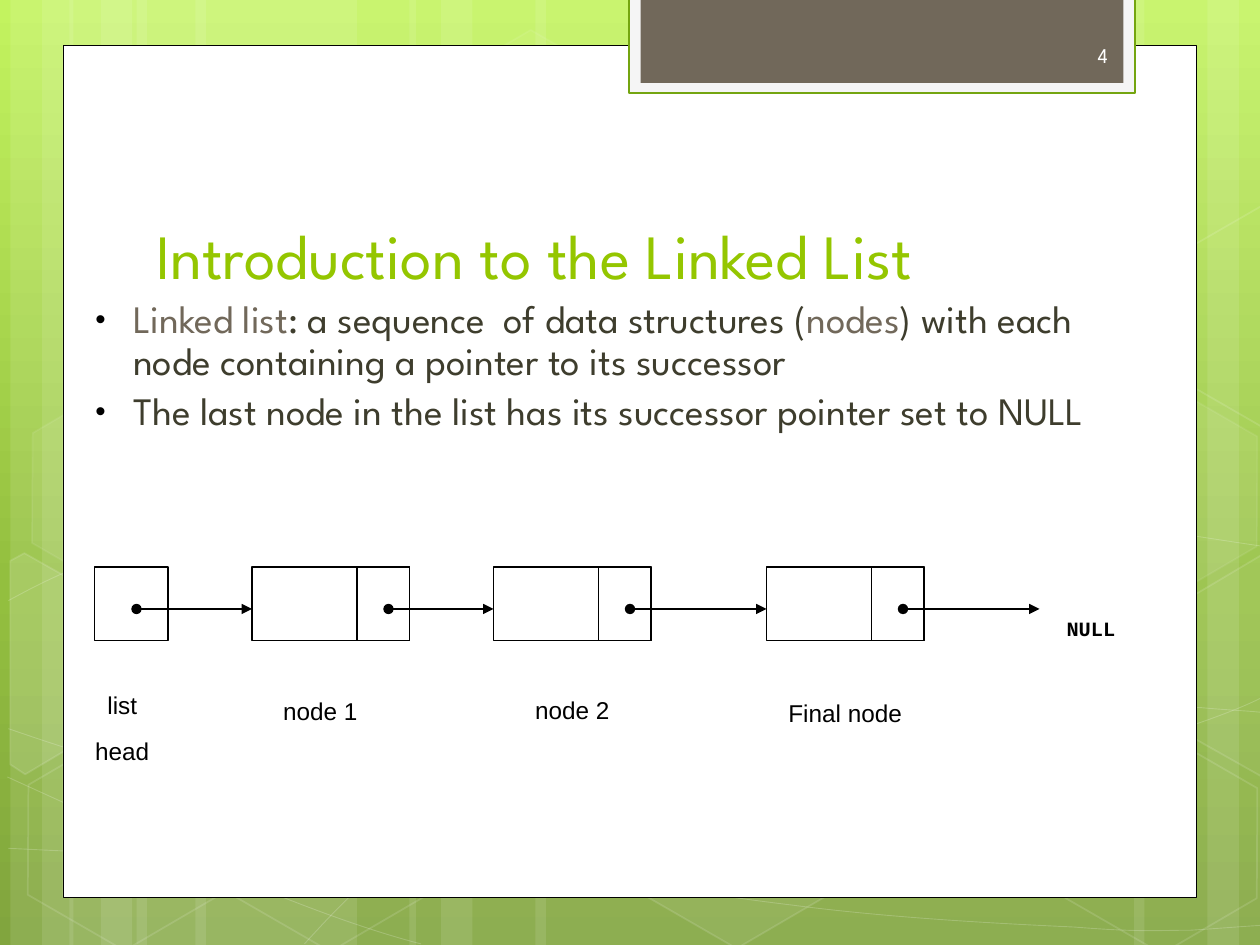
from math import cos, radians, sin

from lxml.etree import SubElement
from pptx import Presentation
from pptx.dml.color import RGBColor
from pptx.enum.shapes import MSO_CONNECTOR as Connector, MSO_SHAPE as Shape
from pptx.enum.text import MSO_ANCHOR as Anchor, MSO_AUTO_SIZE as AutoSize, PP_ALIGN as Align
from pptx.oxml.ns import qn
from pptx.util import Emu, Pt

PX = 7620  # 120 px to the inch
WIDTH, HEIGHT = 1200, 900

BLACK, WHITE = RGBColor(0, 0, 0), RGBColor(255, 255, 255)
LIME, GREEN = RGBColor(0x94, 0xC6, 0x00), RGBColor(0x74, 0xA5, 0x10)
TAUPE, OLIVE = RGBColor(0x71, 0x68, 0x5A), RGBColor(0x3E, 0x3D, 0x2D)
PALE, NUMBER_WHITE = RGBColor(0xF5, 0xF5, 0xF5), RGBColor(0xFE, 0xFE, 0xFE)
BACKDROP = [(0, "C3F35F"), (62, "93BF3F"), (100, "81A53E")]
DISPLAY, SANS, MONO = "League Spartan", "Arial", "Courier New"

TITLE = "Introduction to the Linked List"
BULLETS = [
    [("Linked list", TAUPE), (": a sequence  of data structures (", OLIVE), ("nodes", TAUPE),
     (") with each node containing a pointer to its successor", OLIVE)],
    [("The last node in the list has its successor pointer set to NULL", OLIVE)],
]
LABELS = [  # lines, box, font, size, bold, line spacing
    (["NULL"], (987, 550, 104, 60), MONO, 20, True, 1.2),
    (["list", "head"], (60, 630, 113, 89), SANS, 24, False, 0.8),
    (["node 1"], (231, 635, 148, 50), SANS, 24, False, 0.8),
    (["node 2"], (471, 634, 148, 50), SANS, 24, False, 0.8),
    (["Final node"], (698, 637, 214, 50), SANS, 24, False, 0.8),
]

HEAD_LEFT, NODE_LEFTS, NULL_LEFT = 90, [240, 470, 730], 990
NODE_TOP, NODE_WIDTH, NODE_HEIGHT, POINTER_WIDTH, LINK_Y = 540, 150, 70, 50, 580

TILT = 30
BANDS = [(130, 210), (10, 60), (40, 100), (186, 210), (66, 60), (96, 100),
         (880, 210), (1150, 60), (1080, 100), (510, 370), (390, 60), (420, 100)]
HEXAGONS = [  # left, top, fill opacity, line opacity
    (401, 43, 4, 8), (596, 707, 6, 12), (13, 709, 0, 12), (17, 374, 7, 8), (209, 710, 0, 12),
    (904, 544, 10, 12), (1001, 712, 0, 12), (1001, 377, 7, 8),
]
CUT_HEXAGONS = [  # centre, tilted corners, fill opacity
    ((43, 642), [(10, 534), (23, 526), (115, 578), (114, 684), (24, 737), (10, 728)], 10),
    ((1182, 624), [(1111, 582), (1201, 529), (1211, 535), (1211, 736), (1202, 740),
                   (1111, 688)], 4),
    ((1182, 289), [(1111, 248), (1201, 196), (1212, 202), (1211, 402), (1202, 407),
                   (1111, 354)], 0),
]
CURVES = [  # start, then two controls and an end for each Bezier piece
    [(8, 808), (73, 811), (138, 815), (228, 814), (318, 812), (430, 810), (550, 798),
     (670, 786), (840, 763), (950, 740), (1060, 718), (1172, 682), (1208, 661)],
    [(8, 572), (43, 553), (78, 535), (145, 517), (214, 499), (311, 473), (416, 464),
     (523, 456), (653, 455), (785, 464), (917, 474), (1136, 511), (1208, 521)],
    [(7, 740), (152, 806), (296, 872), (401, 899)],
    [(8, 694), (46, 707), (84, 720), (154, 739), (223, 757), (328, 787), (428, 808),
     (528, 828), (654, 850), (754, 862), (853, 875), (960, 880), (1024, 883),
     (1086, 888), (1103, 886), (1134, 886), (1165, 884), (1187, 882), (1208, 881)],
    [(290, 899), (312, 875), (334, 851), (362, 829), (391, 808), (432, 784), (466, 767),
     (499, 750), (520, 743), (564, 731), (607, 719), (688, 702), (730, 694),
     (773, 685), (779, 685), (816, 683), (853, 679), (912, 676), (953, 674),
     (995, 673), (1063, 674), (1063, 674), (1090, 674), (1117, 674), (1144, 674),
     (1165, 676), (1186, 677), (1196, 678), (1207, 679), (1204, 678), (1207, 679)],
]


def add(parent, tag, **attributes):
    return SubElement(parent, qn(tag), attributes)


def emu(lengths):
    return [Emu(length * PX) for length in lengths]


def set_opacity(parent, percent):
    color = parent.find(qn("a:solidFill")).find(qn("a:srgbClr"))
    add(color, "a:alpha", val=str(percent * 1000))


def paint(shape, fill=None, line=None, weight=1, fill_opacity=100, line_opacity=100):
    shape.shadow.inherit = False
    properties = shape._element.spPr
    if fill is None or fill_opacity == 0:
        shape.fill.background()
    else:
        shape.fill.solid()
        shape.fill.fore_color.rgb = fill
        if fill_opacity < 100:
            set_opacity(properties, fill_opacity)
    if line is None:
        shape.line.fill.background()
    else:
        shape.line.color.rgb = line
        shape.line.width = Pt(weight)
        if line_opacity < 100:
            set_opacity(properties.find(qn("a:ln")), line_opacity)


def add_box(slide, box, kind=Shape.RECTANGLE, **style):
    shape = slide.shapes.add_shape(kind, *emu(box))
    paint(shape, **style)
    return shape


def add_outline(slide, points, close=False, **style):
    builder = slide.shapes.build_freeform(*points[0], scale=PX)
    builder.add_line_segments(points[1:], close=close)
    outline = builder.convert_to_shape()
    paint(outline, line=WHITE, **style)
    return outline


def bend(outline):
    """Turn every three straight segments into one cubic Bezier piece."""
    segments = list(outline._element.iter(qn("a:lnTo")))
    for first in range(0, len(segments), 3):
        piece = segments[first:first + 3]
        curve = add(piece[0].getparent(), "a:cubicBezTo")
        for segment in piece:
            curve.append(segment[0])
            segment.getparent().remove(segment)


def untilt(point, center):
    x, y = point[0] - center[0], point[1] - center[1]
    c, s = cos(radians(TILT)), sin(radians(TILT))
    return round(center[0] + x * c + y * s, 2), round(center[1] - x * s + y * c, 2)


def add_text(slide, box, paragraphs, font, size, anchor=Anchor.TOP, wrap=True, align=Align.LEFT,
             bold=False, spacing=1.0, before=0, bullet=False, lowered=False):
    """Add a text box; each paragraph is a list of (wording, color) runs."""
    frame = slide.shapes.add_textbox(*emu(box)).text_frame
    frame.word_wrap = wrap
    frame.auto_size = AutoSize.NONE if wrap else AutoSize.SHAPE_TO_FIT_TEXT
    frame.vertical_anchor = anchor
    for index, runs in enumerate(paragraphs):
        paragraph = frame.paragraphs[0] if index == 0 else frame.add_paragraph()
        paragraph.alignment = align
        paragraph.line_spacing = spacing
        paragraph.space_before = Pt(before)
        if bullet:
            add_bullet(paragraph)
        paragraph.font.name, paragraph.font.size, paragraph.font.bold = font, Pt(size), bold
        for wording, color in runs:
            run = paragraph.add_run()
            run.text = wording
            run.font.color.rgb = color
            if lowered:
                run._r.get_or_add_rPr().set("baseline", "-25000")


def add_bullet(paragraph):
    properties = paragraph._p.get_or_add_pPr()
    properties.set("marL", str(45 * PX))
    properties.set("indent", str(-36 * PX))
    add(add(properties, "a:buClr"), "a:srgbClr", val=str(BLACK))
    add(properties, "a:buSzPct", val="76000")
    add(properties, "a:buFont", typeface=SANS)
    add(properties, "a:buChar", char="•")


def add_link(slide, start, end):
    link = slide.shapes.add_connector(Connector.STRAIGHT, *emu((start, LINK_Y, end, LINK_Y)))
    link.line.color.rgb = BLACK
    link.line.width = Pt(0.75)
    properties = link._element.spPr
    line = properties.find(qn("a:ln"))
    add(line, "a:headEnd", type="oval")
    add(line, "a:tailEnd", type="triangle")
    add(properties, "a:effectLst")


def add_backdrop(slide):
    slide.background.fill.gradient()
    gradient = next(slide._element.iter(qn("a:gradFill")))
    for child in list(gradient):
        gradient.remove(child)
    stops = add(gradient, "a:gsLst")
    for position, color in BACKDROP:
        add(add(stops, "a:gs", pos=str(position * 1000)), "a:srgbClr", val=color)
    add(gradient, "a:lin", ang="5400000", scaled="0")

    for left, width in BANDS:
        add_box(slide, (left, 0, width, HEIGHT), fill=WHITE, fill_opacity=10)
    for curve in CURVES:
        bend(add_outline(slide, curve, weight=0.5, line_opacity=20))
    for left, top, fill_opacity, line_opacity in HEXAGONS:
        hexagon = add_box(slide, (left, top, 210, 182), Shape.HEXAGON, fill=WHITE, line=WHITE,
                          fill_opacity=fill_opacity, line_opacity=line_opacity)
        hexagon.adjustments[0] = 0.285
        hexagon.rotation = TILT
    for center, corners, opacity in CUT_HEXAGONS:
        upright = [untilt(corner, center) for corner in corners]
        add_outline(slide, upright, close=True, fill=WHITE, fill_opacity=opacity,
                    line_opacity=12).rotation = TILT
    add_box(slide, (60, 43, 1080, 812), fill=WHITE, line=BLACK, weight=0.5)
    add_box(slide, (599, -2, 482, 91), fill=PALE, line=GREEN, weight=1.25)
    add_box(slide, (610, -2, 460, 81), fill=TAUPE)


def add_linked_list(slide):
    pointer_lefts = [left + NODE_WIDTH - POINTER_WIDTH for left in NODE_LEFTS]
    cells = [(HEAD_LEFT, NODE_HEIGHT)]
    cells += [(left, NODE_WIDTH) for left in NODE_LEFTS]
    cells += [(left, POINTER_WIDTH) for left in pointer_lefts]
    for left, width in cells:
        add_box(slide, (left, NODE_TOP, width, NODE_HEIGHT), line=BLACK, weight=0.75)
    starts = [HEAD_LEFT + 40] + [left + 30 for left in pointer_lefts]
    for start, end in zip(starts, NODE_LEFTS + [NULL_LEFT]):
        add_link(slide, start, end)
    for lines, box, font, size, bold, spacing in LABELS:
        add_text(slide, box, [[(line, BLACK)] for line in lines], font, size, wrap=False,
                 align=Align.CENTER, bold=bold, spacing=spacing, lowered=True)


def main():
    deck = Presentation()
    deck.slide_width, deck.slide_height = emu((WIDTH, HEIGHT))
    slide = deck.slides.add_slide(deck.slide_layouts[6])
    add_backdrop(slide)
    add_text(slide, (137, 134, 922, 150), [[(TITLE, LIME)]], DISPLAY, 36, Anchor.BOTTOM)
    add_text(slide, (70, 280, 1040, 210), BULLETS, DISPLAY, 22.2,
             spacing=0.9, before=4.5, bullet=True)
    add_text(slide, (787, 29, 280, 48), [[("4", NUMBER_WHITE)]], DISPLAY, 12,
             Anchor.MIDDLE, align=Align.RIGHT)
    add_linked_list(slide)
    deck.save("out.pptx")


if __name__ == "__main__":
    main()
